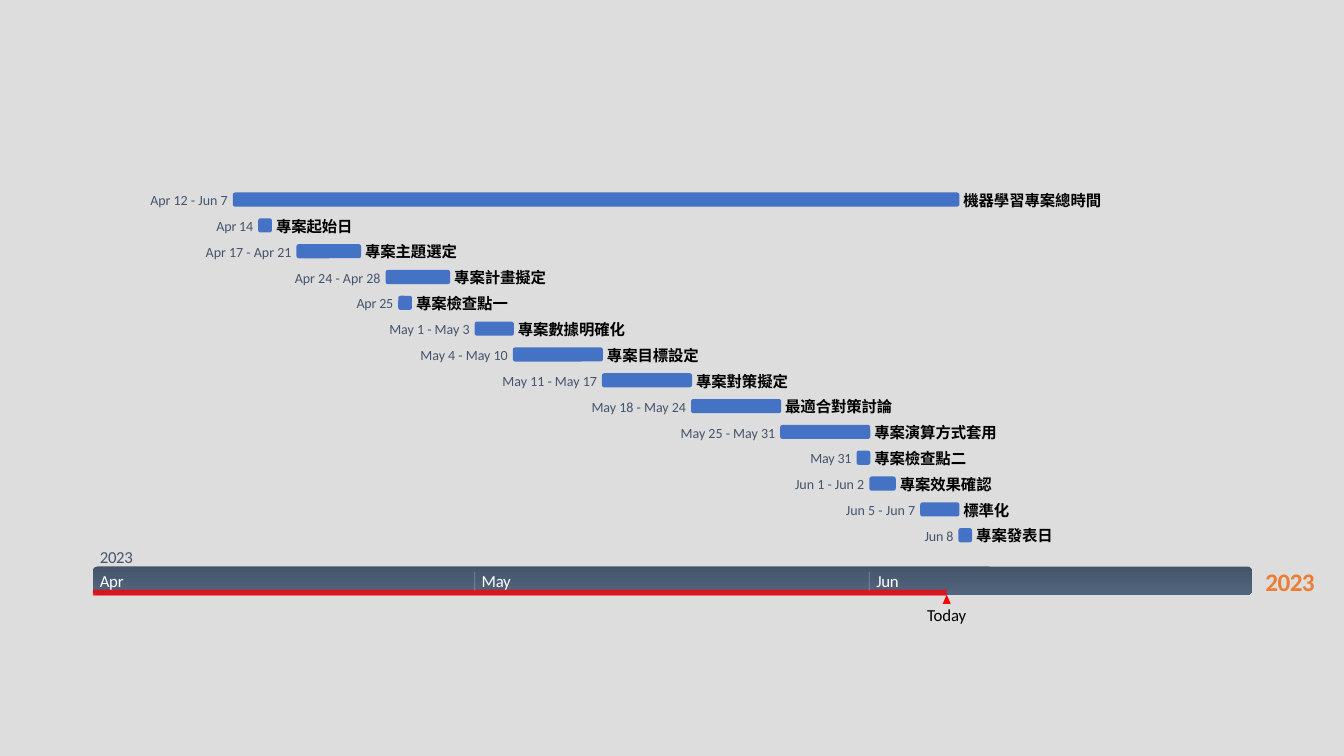
from lxml.etree import SubElement as Sub
from pptx import Presentation
from pptx.dml.color import RGBColor as Rgb
from pptx.enum.shapes import MSO_CONNECTOR as Link, MSO_SHAPE as Kind
from pptx.enum.text import MSO_ANCHOR as Anchor, MSO_AUTO_SIZE as Fit, PP_ALIGN as Align
from pptx.oxml.ns import qn
from pptx.util import Inches, Pt

HUE = {"back": "DDDDDD", "slate": "44546A", "steel": "52667F", "task": "4472C4",
       "red": "FF0000", "year": "ED7D31", "white": "FFFFFF", "black": "000000"}
YEAR = "2023"
MONTHS = {"Apr": 30, "May": 31, "Jun": 30}
TODAY = "Jun 7"
TASKS = [
    ("Apr 12 - Jun 7", "機器學習專案總時間"),
    ("Apr 14", "專案起始日"),
    ("Apr 17 - Apr 21", "專案主題選定"),
    ("Apr 24 - Apr 28", "專案計畫擬定"),
    ("Apr 25", "專案檢查點一"),
    ("May 1 - May 3", "專案數據明確化"),
    ("May 4 - May 10", "專案目標設定"),
    ("May 11 - May 17", "專案對策擬定"),
    ("May 18 - May 24", "最適合對策討論"),
    ("May 25 - May 31", "專案演算方式套用"),
    ("May 31", "專案檢查點二"),
    ("Jun 1 - Jun 2", "專案效果確認"),
    ("Jun 5 - Jun 7", "標準化"),
    ("Jun 8", "專案發表日"),
]

LEFT, SPAN, BAND = 0.92, 11.49, 5.62
TOP, STEP, THICK = 1.91, 3.33 / 13, 0.14
DAY = SPAN / sum(MONTHS.values())
WIDE = {"Apr": 0.24, "May": 0.29, "Jun": 0.24}
DIGIT, DASH, GLYPH, GAP = 0.07, 0.09, 0.153, 0.05

deck = Presentation()
deck.slide_width, deck.slide_height = Inches(13.33), Inches(7.5)
slide = deck.slides.add_slide(deck.slide_layouts[6])
slide.background.fill.solid()
slide.background.fill.fore_color.rgb = Rgb.from_string(HUE["back"])


def place(date):
    month, day = date.split()
    names = list(MONTHS)
    past = sum(MONTHS[m] for m in names[:names.index(month)])
    return LEFT + (past + int(day) - 1) * DAY


def measure(dates):
    width = DASH * (len(dates) - 1)
    for date in dates:
        month, day = date.split()
        width += WIDE[month] + DIGIT * len(day)
    return width


def shape(kind, x, y, w, h, hue):
    item = slide.shapes.add_shape(kind, *map(Inches, (x, y, w, h)))
    item.shadow.inherit = False
    item.line.fill.background()
    item.fill.solid()
    item.fill.fore_color.rgb = Rgb.from_string(HUE[hue])
    return item


def write(text, x, y, w, h, size, hue, align=Align.LEFT, bold=False, track=-10):
    box = slide.shapes.add_textbox(*map(Inches, (x, y, w, h)))
    frame = box.text_frame
    frame.margin_left = frame.margin_right = 0
    frame.margin_top = frame.margin_bottom = 0
    frame.vertical_anchor = Anchor.MIDDLE
    frame.word_wrap = False
    frame.auto_size = Fit.SHAPE_TO_FIT_TEXT
    para = frame.paragraphs[0]
    para.text, para.alignment = text, align
    font = para.font
    font.name, font.size, font.bold = "Calibri", Pt(size), bold
    font.color.rgb = Rgb.from_string(HUE[hue])
    font._element.set("spc", str(track))


def fade(item, share):
    for tint in item._element.spPr.iter(qn("a:srgbClr")):
        Sub(tint, qn("a:alpha")).set("val", str(share * 1000))


write(YEAR, 12.55, 5.61, 0.49, 0.31, 18, "year", Align.CENTER, True, -40)
band = shape(Kind.ROUNDED_RECTANGLE, LEFT, BAND, 11.5, 0.28, "slate")
band.fill.gradient()
band.fill.gradient_angle = 270
for stop, hue, spot in zip(band.fill.gradient_stops, ("slate", "steel"), (0, 1)):
    stop.color.rgb = Rgb.from_string(HUE[hue])
    stop.position = spot

now = place(TODAY) + 0.01
done = shape(Kind.ROUNDED_RECTANGLE, LEFT, 5.85, now - LEFT, 0.06, "red")
done.adjustments[0] = 0
fade(done, 75)
shape(Kind.ISOSCELES_TRIANGLE, now - 0.04, 5.9, 0.08, 0.09, "red")
write("Today", now - 0.2, 6, 0.4, 0.2, 12, "black", Align.CENTER)

write(YEAR, LEFT + 0.07, 5.42, 0.33, 0.2, 12, "slate", track=-20)
for month in MONTHS:
    x = place(month + " 1")
    write(month, x + 0.07, 5.66, WIDE[month], 0.2, 12, "white", track=-20)
    if x > LEFT:
        ends = map(Inches, (x, 5.67, x, 5.86))
        rule = slide.shapes.add_connector(Link.STRAIGHT, *ends)
        rule.line.width = Pt(0.5)
        rule.line.color.rgb = Rgb.from_string(HUE["white"])
        fade(rule, 30)
        Sub(rule._element.spPr, qn("a:effectLst"))

for row, (dates, name) in enumerate(TASKS):
    days = dates.split(" - ")
    start, end = place(days[0]), place(days[-1]) + DAY + 0.01
    y = TOP + row * STEP
    shape(Kind.ROUNDED_RECTANGLE, start, y, end - start, THICK, "task")
    width = measure(days)
    write(dates, start - GAP - width, y - 0.01, width, 0.17, 10, "slate",
          Align.RIGHT, track=0 if len(days) > 1 else -10)
    write(name, end + GAP - 0.01, y - 0.02, GLYPH * len(name), 0.19, 11, "black", bold=True)

deck.save("out.pptx")
